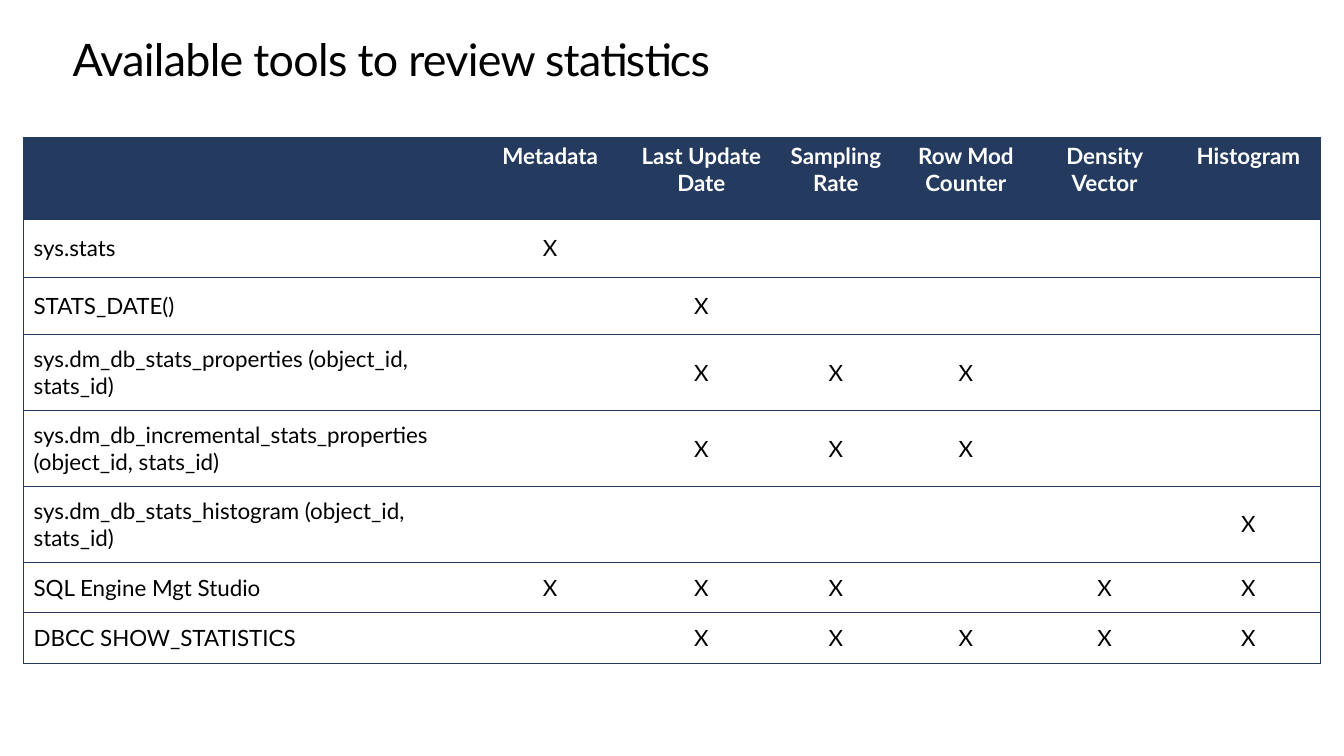
from lxml.etree import SubElement
from pptx import Presentation
from pptx.dml.color import RGBColor
from pptx.enum.text import MSO_ANCHOR as ANCHOR, MSO_AUTO_SIZE as AUTO_SIZE, PP_ALIGN as ALIGN
from pptx.oxml.ns import qn
from pptx.util import Pt

NAVY = RGBColor(0x24, 0x3A, 0x5E)
WHITE = RGBColor(0xFF, 0xFF, 0xFF)
BLACK = RGBColor(0, 0, 0)
FONT = "Lato"

HEADERS = ["", "Metadata", "Last Update Date", "Sampling Rate",
           "Row Mod Counter", "Density Vector", "Histogram"]
# Tool name and the columns it covers
TOOLS = [
    ("sys.stats", {1}),
    ("STATS_DATE()", {2}),
    ("sys.dm_db_stats_properties (object_id, stats_id)", {2, 3, 4}),
    ("sys.dm_db_incremental_stats_properties (object_id, stats_id)", {2, 3, 4}),
    ("sys.dm_db_stats_histogram (object_id, stats_id)", {6}),
    ("SQL Engine Mgt Studio", {1, 2, 3, 5, 6}),
    ("DBCC SHOW_STATISTICS", {2, 3, 4, 5, 6}),
]
COL_WIDTHS = [319.3, 113.8, 102.2, 90, 95.8, 102.3, 103.2]
ROW_HEIGHTS = [58.5, 41.5, 41, 54.2, 54.2, 54.2, 36, 36]


def add_title(slide, text, left, top, width, height):
    """Place and format the title placeholder in the given box."""
    sp = slide.shapes.title
    sp.left, sp.top, sp.width, sp.height = Pt(left), Pt(top), Pt(width), Pt(height)
    sp.fill.solid()
    sp.fill.fore_color.rgb = WHITE
    tf = sp.text_frame
    tf.margin_left = tf.margin_top = tf.margin_right = tf.margin_bottom = 0
    tf.vertical_anchor = ANCHOR.TOP
    tf.word_wrap = True
    tf.auto_size = AUTO_SIZE.SHAPE_TO_FIT_TEXT
    tf.text = text
    p = tf.paragraphs[0]
    p.alignment = ALIGN.LEFT
    p.line_spacing = Pt(36.2)
    p.font.name, p.font.size, p.font.color.rgb = FONT, Pt(32), BLACK
    p.runs[0].font._element.set("spc", "-50")


def set_borders(cell, visible):
    """Draw the visible sides (letters of LRTB) in navy and clear the others."""
    tc_pr = cell._tc.get_or_add_tcPr()
    for side in "LRTB":
        ln = SubElement(tc_pr, qn(f"a:ln{side}"), w=str(Pt(0.5)))
        if side in visible:
            fill = SubElement(ln, qn("a:solidFill"))
            SubElement(fill, qn("a:srgbClr"), val=str(NAVY))
        else:
            SubElement(ln, qn("a:noFill"))


def format_cell(cell, text, is_header, is_name):
    """Write one cell as a header, a tool name or a mark."""
    cell.fill.solid()
    cell.fill.fore_color.rgb = NAVY if is_header else WHITE
    cell.vertical_anchor = ANCHOR.TOP if is_header else ANCHOR.MIDDLE
    cell.text = text
    p = cell.text_frame.paragraphs[0]
    p.alignment = ALIGN.LEFT if is_name else ALIGN.CENTER
    p.font.name, p.font.size, p.font.bold = FONT, Pt(16), is_header
    p.font.color.rgb = WHITE if is_header else BLACK


def add_tool_table(slide, left, top):
    """Build the table of tools and the statistics they show."""
    columns = range(len(HEADERS))
    rows = [HEADERS] + [[name] + ["X" if c in marks else "" for c in columns[1:]]
                        for name, marks in TOOLS]
    table = slide.shapes.add_table(len(rows), len(HEADERS), Pt(left), Pt(top),
                                   Pt(sum(COL_WIDTHS)), Pt(sum(ROW_HEIGHTS))).table
    table.first_row = table.horz_banding = False
    for column, width in zip(table.columns, COL_WIDTHS):
        column.width = Pt(width)
    for row, height in zip(table.rows, ROW_HEIGHTS):
        row.height = Pt(height)
    for r, texts in enumerate(rows):
        for c, text in enumerate(texts):
            cell = table.cell(r, c)
            sides = "TB" + ("L" if c == 0 else "") + ("R" if c == columns[-1] else "")
            set_borders(cell, sides)
            format_cell(cell, text, r == 0, c == 0)


def main():
    """Create the slide and save it."""
    prs = Presentation()
    prs.slide_width, prs.slide_height = Pt(960), Pt(540)
    slide = prs.slides.add_slide(prs.slide_layouts[5])
    add_title(slide, "Available tools to review statistics", 51.8, 25.2, 856.8, 36)
    add_tool_table(slide, 16.8, 98)
    prs.save("out.pptx")


main()
